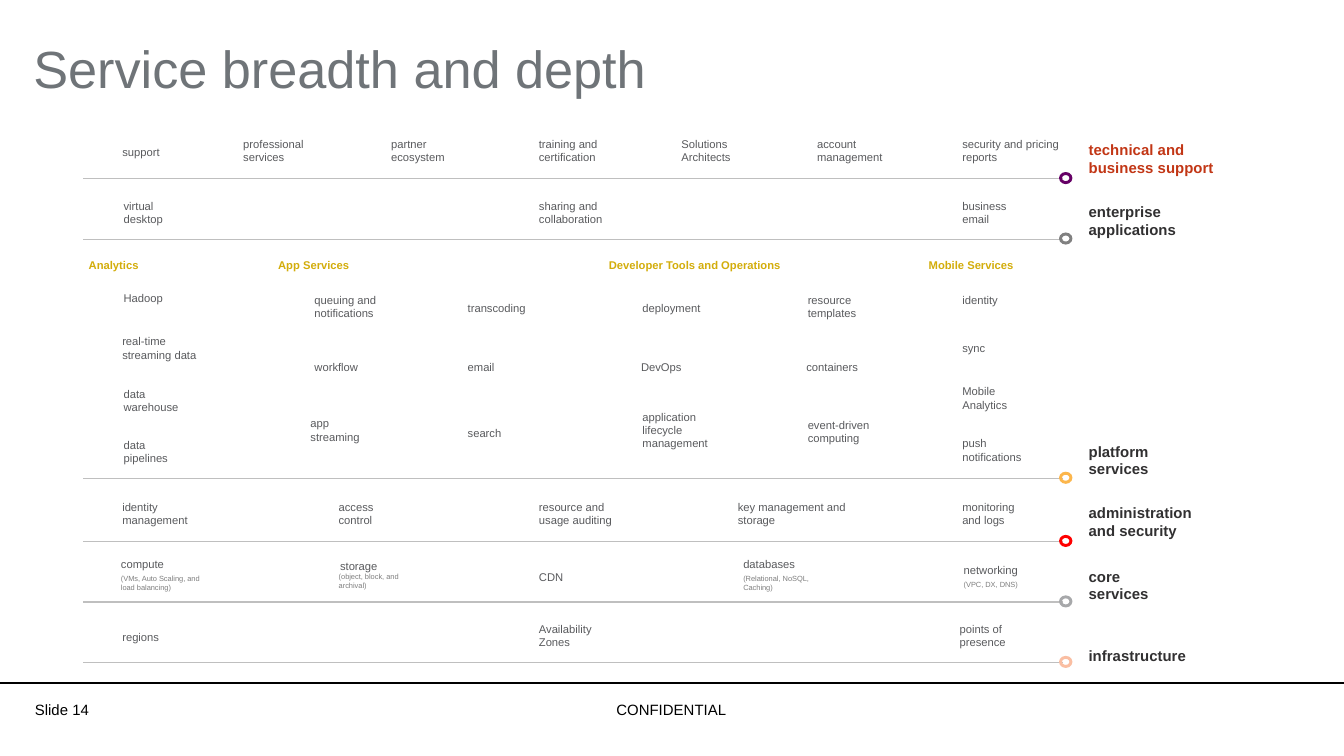
from dataclasses import dataclass

from pptx import Presentation, util as u
from pptx.dml import color
from pptx.enum import shapes, text
from pptx.oxml import xmlchemy


@dataclass(frozen=True)
class Style:
    size: int
    color: str
    bold: bool = False


@dataclass(frozen=True)
class Theme:
    font: str = "Arial"
    title: Style = Style(28, "6F7478")
    label: Style = Style(8, "313031", True)
    accent: Style = Style(8, "C23615", True)
    heading: Style = Style(6, "D3AD0B", True)
    item: Style = Style(6, "595A5D")
    detail: Style = Style(4, "7F7F7F")
    footer: Style = Style(8, "000000")
    rule: str = "BFBFBF"
    footer_rule: str = "000000"


@dataclass(frozen=True)
class Label:
    words: str
    left: int
    top: int
    width: int
    height: int = 30
    style: Style = Theme.item


@dataclass(frozen=True)
class Tier:
    name: Label
    rule: int
    ring: str
    items: tuple[Label, ...]


PX = 9144
THEME = Theme()
ONE_LINE = 19
NAME_LEFT, RULE_LEFT, RULE_RIGHT, RING_LEFT = 806, 62, 791, 788
COL_A, COL_APP, COL_MID, COL_END = 87, 230, 397, 712

TIERS = (
    Tier(Label("technical and\nbusiness support", NAME_LEFT, 101, 112, 36, THEME.accent), 133, "660066", (
        Label("support", COL_A, 104, 45, ONE_LINE),
        Label("professional\nservices", 177, 98, 67),
        Label("partner\necosystem", 287, 98, 61),
        Label("training and certification", COL_MID, 98, 64),
        Label("Solutions\nArchitects", 503, 98, 56),
        Label("account\nmanagement", 604, 98, 74),
        Label("security and pricing reports", COL_END, 98, 82),
    )),
    Tier(Label("enterprise\napplications", NAME_LEFT, 147, 82, 36, THEME.label), 178, "808080", (
        Label("virtual\ndesktop", 88, 144, 50),
        Label("sharing and\ncollaboration", COL_MID, 144, 71),
        Label("business\nemail", COL_END, 144, 51),
    )),
    Tier(Label("platform\nservices", NAME_LEFT, 325, 61, 36, THEME.label), 356, "FCB64C", (
        Label("Analytics", 62, 188, 61, ONE_LINE, THEME.heading),
        Label("Hadoop", 88, 213, 48, ONE_LINE),
        Label("real-time\nstreaming data", COL_A, 245, 84),
        Label("data\nwarehouse", 88, 284, 64),
        Label("data\npipelines", 88, 322, 55),
        Label("App Services", 203, 188, 86, ONE_LINE, THEME.heading),
        Label("queuing and notifications", COL_APP, 214, 67),
        Label("workflow", COL_APP, 264, 54, ONE_LINE),
        Label("app\nstreaming", 227, 306, 59),
        Label("transcoding", 344, 220, 67, ONE_LINE),
        Label("email", 344, 264, 36, ONE_LINE),
        Label("search", 344, 313, 43, ONE_LINE),
        Label("Developer Tools and Operations", 449, 188, 166, ONE_LINE, THEME.heading),
        Label("deployment", 474, 220, 68, ONE_LINE),
        Label("DevOps", 473, 264, 53, ONE_LINE),
        Label("application \vlifecycle\nmanagement", 474, 301, 115, 40),
        Label("resource\ntemplates", 597, 214, 58),
        Label("containers", 596, 264, 61, ONE_LINE),
        Label("event-driven computing", 597, 307, 72),
        Label("Mobile Services", 687, 188, 99, ONE_LINE, THEME.heading),
        Label("identity", COL_END, 214, 45, ONE_LINE),
        Label("sync", COL_END, 250, 34, ONE_LINE),
        Label("Mobile\nAnalytics", COL_END, 282, 55),
        Label("push\nnotifications", COL_END, 321, 69),
    )),
    Tier(Label("administration\nand security", NAME_LEFT, 371, 94, 36, THEME.label), 403, "FF0000", (
        Label("identity management", COL_A, 368, 73),
        Label("access control", 248, 368, 46),
        Label("resource and usage auditing", COL_MID, 368, 81),
        Label("key management and storage", 545, 368, 95),
        Label("monitoring\nand logs", COL_END, 368, 63),
    )),
    Tier(Label("core\nservices", NAME_LEFT, 418, 59, 36, THEME.label), 448, "A7A8AA", (
        Label("compute", 86, 411, 52, ONE_LINE),
        Label("(VMs, Auto Scaling, and load balancing)", 86, 423, 76, 23, THEME.detail),
        Label("storage", 249, 412, 48, ONE_LINE),
        Label("(object, block, and archival)", 248, 422, 59, 23, THEME.detail),
        Label("CDN", COL_MID, 420, 31, ONE_LINE),
        Label("databases", 549, 411, 61, ONE_LINE),
        Label("(Relational, NoSQL, Caching)", 549, 423, 71, 23, THEME.detail),
        Label("networking", 713, 415, 65, ONE_LINE),
        Label("(VPC, DX, DNS)", 713, 428, 72, 16, THEME.detail),
    )),
    Tier(Label("infrastructure", NAME_LEFT, 477, 90, 23, THEME.label), 493, "FABEA2", (
        Label("regions", COL_A, 465, 48, ONE_LINE),
        Label("Availability\nZones", COL_MID, 459, 60),
        Label("points of presence", 710, 459, 55),
    )),
)


def px(length: int) -> u.Emu:
    return u.Emu(length * PX)


def rgb(value: str) -> color.RGBColor:
    return color.RGBColor.from_string(value)


def draw_label(page, label: Label, inset: tuple[int, int] = (4, 4),
               align=text.PP_ALIGN.LEFT, anchor=text.MSO_ANCHOR.TOP) -> None:
    box = page.shapes.add_textbox(*map(px, (label.left, label.top, label.width, label.height)))
    frame = box.text_frame
    frame.word_wrap = True
    frame.vertical_anchor = anchor
    frame.margin_left = frame.margin_right = px(inset[0])
    frame.margin_top = frame.margin_bottom = px(inset[1])
    for row, line in enumerate(label.words.split("\n")):
        para = frame.add_paragraph() if row else frame.paragraphs[0]
        para.alignment = align
        for part, words in enumerate(line.split("\v")):
            if part:
                para.add_line_break()
            span = para.add_run()
            span.text = words
            span.font.name = THEME.font
            span.font.size = u.Pt(label.style.size)
            span.font.bold = label.style.bold
            span.font.color.rgb = rgb(label.style.color)


def draw_rule(page, left: int, right: int, top: int, shade: str, weight: float) -> None:
    rule = page.shapes.add_connector(shapes.MSO_CONNECTOR.STRAIGHT, px(left), px(top), px(right), px(top))
    rule.line.color.rgb = rgb(shade)
    rule.line.width = u.Pt(weight)
    rule._element.spPr.append(xmlchemy.OxmlElement("a:effectLst"))


def draw_tier(page, tier: Tier) -> None:
    for label in (tier.name, *tier.items):
        draw_label(page, label)
    draw_rule(page, RULE_LEFT, RULE_RIGHT, tier.rule, THEME.rule, 0.75)
    ring = page.shapes.add_shape(shapes.MSO_SHAPE.DONUT, px(RING_LEFT), px(tier.rule - 5), px(10), px(9))
    ring.shadow.inherit = False
    ring.fill.solid()
    ring.fill.fore_color.rgb = rgb(tier.ring)
    ring.line.fill.background()


def main() -> None:
    """Build the service breadth and depth slide."""
    deck = Presentation()
    deck.slide_width = px(1000)
    deck.slide_height = u.Emu(deck.slide_width * 9 // 16)
    page = deck.slides.add_slide(deck.slide_layouts[6])
    draw_label(page, Label("Slide 14", 26, 521, 54, 26, THEME.footer), (0, 0))
    draw_label(page, Label("CONFIDENTIAL", 385, 521, 229, 30, THEME.footer), (0, 0), text.PP_ALIGN.CENTER)
    draw_rule(page, 0, 1000, 508, THEME.footer_rule, 1)
    for tier in TIERS:
        draw_tier(page, tier)
    draw_label(page, Label("Service breadth and depth", 15, 20, 955, 60, THEME.title), (10, 5),
               anchor=text.MSO_ANCHOR.MIDDLE)
    deck.save("out.pptx")


if __name__ == "__main__":
    main()
